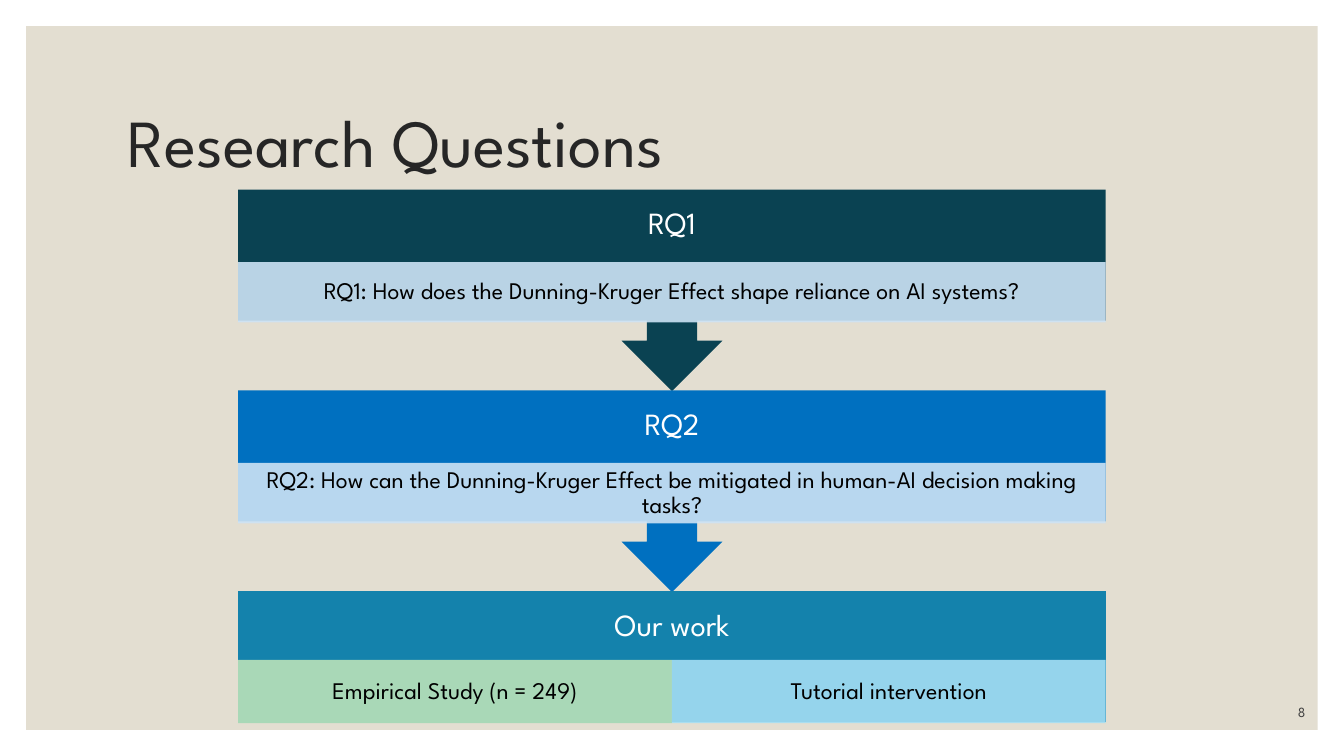
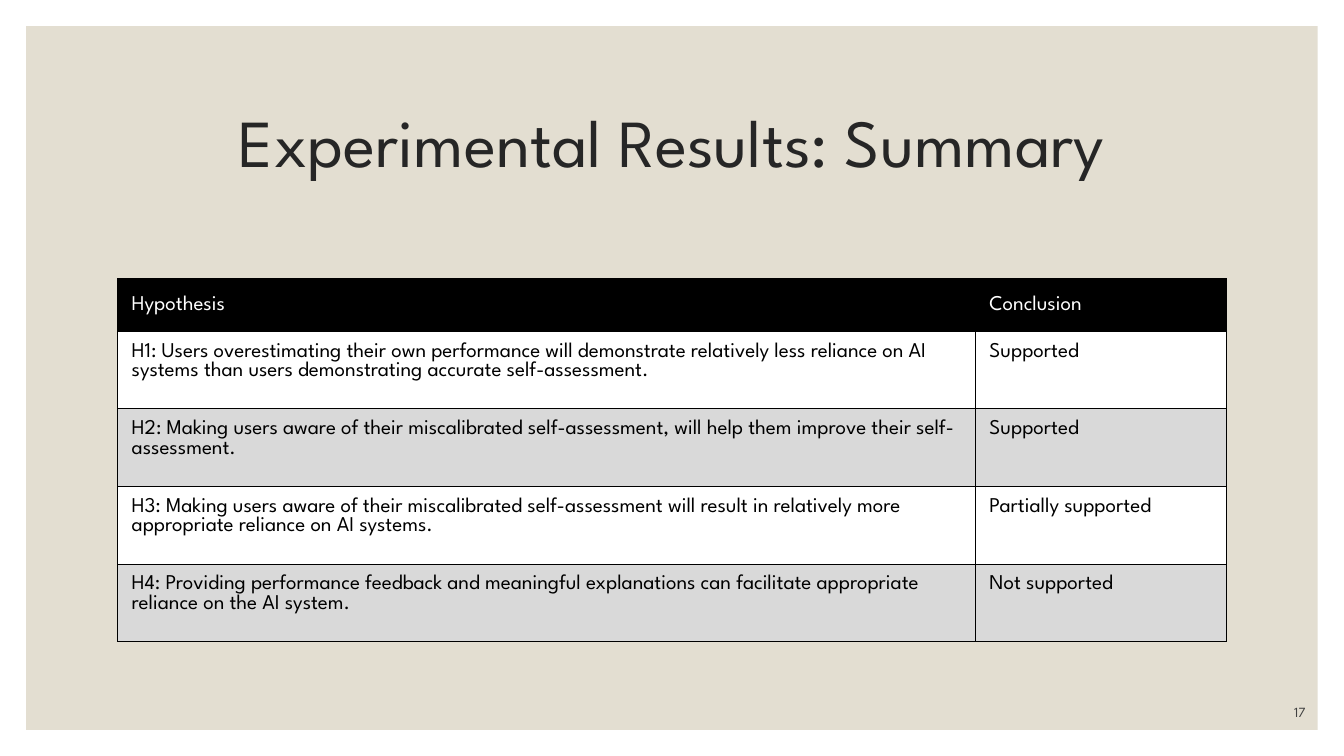
"""Build two slides: research questions as a flow, and a summary table of results."""
from lxml import etree
from pptx import Presentation
from pptx import util as u
from pptx.dml.color import RGBColor
from pptx.enum import shapes, text
from pptx.oxml.ns import qn

COLUMNS = 40
GRID = u.Inches(13.33) / COLUMNS
ROWS = 22.5
FONT = "League Spartan"

SAND = RGBColor(0xE3, 0xDE, 0xD1)
CHARCOAL = RGBColor(0x26, 0x26, 0x26)
SLATE = RGBColor(0x40, 0x40, 0x40)
BLACK = RGBColor(0x00, 0x00, 0x00)
WHITE = RGBColor(0xFF, 0xFF, 0xFF)
GREY = RGBColor(0xD9, 0xD9, 0xD9)
PETROL = RGBColor(0x0A, 0x42, 0x52)
BLUE = RGBColor(0x00, 0x70, 0xC0)
TEAL = RGBColor(0x14, 0x82, 0xAC)
PALE_BLUE = RGBColor(0xCD, 0xE3, 0xF5)
GREEN = RGBColor(0xA9, 0xD8, 0xB7)
SKY = RGBColor(0xA4, 0xDE, 0xF4)

LEFT, CENTER, RIGHT = text.PP_ALIGN.LEFT, text.PP_ALIGN.CENTER, text.PP_ALIGN.RIGHT
MIDDLE, BOTTOM = text.MSO_ANCHOR.MIDDLE, text.MSO_ANCHOR.BOTTOM


def cells(*counts):
    """Turn grid counts into lengths."""
    return [u.Emu(round(count * GRID)) for count in counts]


def write(frame, words, size=15, color=BLACK, align=LEFT, anchor=None,
          spacing=1.0, after=0, margins=None):
    """Put one formatted paragraph into a text frame."""
    if anchor is not None:
        frame.word_wrap = True
        frame.auto_size = text.MSO_AUTO_SIZE.NONE
        frame.vertical_anchor = anchor
    if margins:
        (frame.margin_left, frame.margin_top,
         frame.margin_right, frame.margin_bottom) = cells(*margins)
    para = frame.paragraphs[0]
    para.alignment, para.line_spacing, para.space_after = align, spacing, u.Pt(after)
    span = para.add_run()
    span.text = words
    span.font.name, span.font.size, span.font.color.rgb = FONT, u.Pt(size), color


deck = Presentation()
deck.slide_width, deck.slide_height = cells(COLUMNS, ROWS)

pages = []
for heading, align, number in [
    ("Research Questions", LEFT, "8"),
    ("Experimental Results: Summary", CENTER, "17"),
]:
    page = deck.slides.add_slide(deck.slide_layouts[5])
    title = page.shapes.title
    title.left, title.top, title.width, title.height = cells(3.5, 2.1, 33, 4.5)
    write(title.text_frame, heading, size=48, color=CHARCOAL, align=align,
          anchor=MIDDLE, spacing=0.9)
    panel = page.shapes.add_shape(
        shapes.MSO_SHAPE.RECTANGLE, *cells(0.78, 0.78, COLUMNS - 1.56, ROWS - 1.56))
    panel.shadow.inherit = False
    panel.fill.solid()
    panel.fill.fore_color.rgb = SAND
    panel.line.fill.background()
    title.element.addprevious(panel.element)
    footer = page.shapes.add_textbox(*cells(34.35, 20.7, 4.8, 0.9))
    write(footer.text_frame, number, size=10, color=SLATE, align=RIGHT,
          anchor=BOTTOM, after=6)
    pages.append(page)

questions, summary = pages

CARD_LEFT = 7.09
CARD_WIDTH = COLUMNS - 2 * CARD_LEFT
CARD_RIGHT = CARD_LEFT + CARD_WIDTH
CARD_TOP, CARD_STEP, CARD_HEIGHT = 5.64, 5.98, 3.9
NECK, TIP = 4.5, 6
SHAFT, HEAD = 0.75, 1.5
MID = COLUMNS / 2

steps = [
    ("RQ1", PETROL, 2.16, 1.8, [
        ("RQ1: How does the Dunning-Kruger Effect shape reliance on AI systems?",
         PALE_BLUE, 90)]),
    ("RQ2", BLUE, 2.16, 1.8, [
        ("RQ2: How can the Dunning-Kruger Effect be mitigated in human-AI "
         "decision making tasks?", PALE_BLUE, 90)]),
    ("Our work", TEAL, 2.04, 1.88, [
        ("Empirical Study (n = 249)", GREEN, 100),
        ("Tutorial intervention", SKY, 90)]),
]
for index, (label, color, offset, depth, bands) in enumerate(steps):
    top = CARD_TOP + index * CARD_STEP
    base = top + CARD_HEIGHT
    arrow, height = [], CARD_HEIGHT
    if index < len(steps) - 1:
        height = TIP
        arrow = [(MID + SHAFT, base), (MID + SHAFT, top + NECK),
                 (MID + HEAD, top + NECK), (MID, top + TIP),
                 (MID - HEAD, top + NECK), (MID - SHAFT, top + NECK),
                 (MID - SHAFT, base)]
    outline = [(CARD_RIGHT, top), (CARD_RIGHT, base), *arrow, (CARD_LEFT, base)]
    builder = questions.shapes.build_freeform(*cells(CARD_LEFT, top))
    builder.add_line_segments([cells(*point) for point in outline])
    card = builder.convert_to_shape()
    card.shadow.inherit = False
    card.fill.solid()
    card.fill.fore_color.rgb = color
    card.line.fill.background()
    write(card.text_frame, label, size=22, color=WHITE, align=CENTER, anchor=MIDDLE,
          spacing=0.9, margins=(0.5, 0.5, 0.5, height - 1.6))

    width = CARD_WIDTH / len(bands)
    for place, (words, tint, opacity) in enumerate(bands):
        band = questions.shapes.add_shape(
            shapes.MSO_SHAPE.RECTANGLE,
            *cells(CARD_LEFT + place * width, top + offset, width, depth))
        band.shadow.inherit = False
        band.fill.solid()
        band.fill.fore_color.rgb = tint
        band.line.fill.background()
        if opacity < 100:
            shade = band.element.spPr.find(qn("a:solidFill")).find(qn("a:srgbClr"))
            etree.SubElement(shade, qn("a:alpha"), val=str(opacity * 1000))
        write(band.text_frame, words, size=17, align=CENTER, anchor=MIDDLE,
              spacing=0.9, margins=(0.4, 0.06, 0.4, 0.06))

results = [
    ("Hypothesis", "Conclusion"),
    ("H1: Users overestimating their own performance will demonstrate relatively less "
     "reliance on AI systems than users demonstrating accurate self-assessment.",
     "Supported"),
    ("H2: Making users aware of their miscalibrated self-assessment, will help them "
     "improve their self-assessment.", "Supported"),
    ("H3: Making users aware of their miscalibrated self-assessment will result in "
     "relatively more appropriate reliance on AI systems.", "Partially supported"),
    ("H4: Providing performance feedback and meaningful explanations can facilitate "
     "appropriate reliance on the AI system.", "Not supported"),
]
table = summary.shapes.add_table(
    len(results), 2, *cells(3.5, 8.3, 33, 10.8)).table
for column, width in zip(table.columns, cells(25.53, 7.47)):
    column.width = width
for index, row in enumerate(results):
    header = index == 0
    table.rows[index].height = cells(1.56 if header else 2.31)[0]
    for place, words in enumerate(row):
        cell = table.cell(index, place)
        (cell.margin_left, cell.margin_top,
         cell.margin_right, cell.margin_bottom) = cells(0.42, 0.33, 0.42, 0.33)
        if header:
            cell.vertical_anchor = MIDDLE
        for side in ("a:lnL", "a:lnR", "a:lnT", "a:lnB"):
            border = etree.SubElement(
                cell._tc.get_or_add_tcPr(), qn(side), w=str(u.Pt(1)))
            ink = etree.SubElement(border, qn("a:solidFill"))
            etree.SubElement(ink, qn("a:srgbClr"), val=str(BLACK))
        cell.fill.solid()
        cell.fill.fore_color.rgb = BLACK if header else (WHITE if index % 2 else GREY)
        write(cell.text_frame, words, color=WHITE if header else BLACK)

deck.save("out.pptx")
